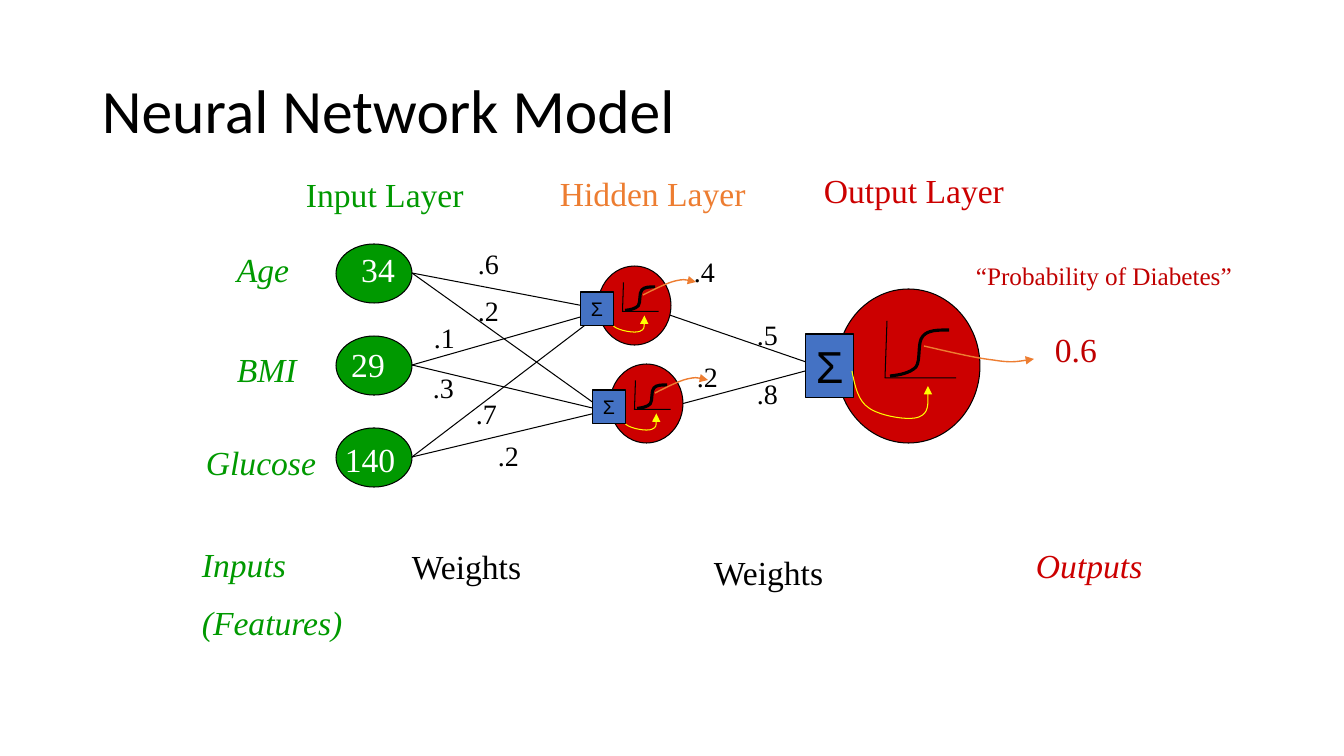
from lxml import etree
from pptx import Presentation
from pptx.dml.color import RGBColor
from pptx.enum.shapes import MSO_CONNECTOR, MSO_SHAPE
from pptx.enum.text import MSO_ANCHOR, MSO_AUTO_SIZE, PP_ALIGN
from pptx.oxml.ns import qn
from pptx.util import Pt

PX = 914400 / 100.8
DISC, RECT = MSO_SHAPE.FLOWCHART_CONNECTOR, MSO_SHAPE.RECTANGLE
LINE = MSO_CONNECTOR.STRAIGHT
LEFT, MID = PP_ALIGN.LEFT, PP_ALIGN.CENTER
TOP, CENTER = MSO_ANCHOR.TOP, MSO_ANCHOR.MIDDLE
GROW, FIXED = MSO_AUTO_SIZE.SHAPE_TO_FIT_TEXT, MSO_AUTO_SIZE.NONE

BLACK = RGBColor(0x00, 0x00, 0x00)
WHITE = RGBColor(0xFF, 0xFF, 0xFF)
GREEN = RGBColor(0x00, 0x99, 0x00)
RED = RGBColor(0xCC, 0x00, 0x00)
DARK = RGBColor(0xC0, 0x00, 0x00)
ORANGE = RGBColor(0xED, 0x7D, 0x31)
YELLOW = RGBColor(0xFF, 0xFF, 0x00)
BLUE = RGBColor(0x44, 0x72, 0xC4)

# Content: font formats
SERIF = {"name": "Times New Roman", "size": Pt(24)}
SLANT = {**SERIF, "italic": True}
SMALL = {**SERIF, "size": Pt(20)}
NOTE = {**SERIF, "size": Pt(18)}
HEAD = {"name": "Calibri", "size": Pt(44)}

# Content: lines of text, left, top, width, format, colour
TITLE = ("Neural Network Model", (92, 41, 1159, 146))
LABELS = [
    (["Input Layer"], 296, 169, 236, SERIF, GREEN),
    (["Hidden Layer"], 550, 168, 244, SERIF, ORANGE),
    (["Output Layer"], 814, 165, 244, SERIF, RED),
    (["Age"], 227, 244, 84, SLANT, GREEN),
    (["BMI"], 227, 344, 101, SLANT, GREEN),
    (["Glucose"], 196, 437, 140, SLANT, GREEN),
    (["Inputs", "(Features)"], 192, 539, 210, SLANT, GREEN),
    (["Weights"], 402, 541, 144, SERIF, BLACK),
    (["Weights"], 704, 547, 144, SERIF, BLACK),
    (["Outputs"], 1026, 540, 176, SLANT, RED),
    (["“Probability of Diabetes”"], 966, 255, 332, NOTE, DARK),
    (["0.6"], 1045, 324, 109, SERIF, DARK),
]
VALUES = [("34", 336, 244), ("29", 326, 339), ("140", 328, 434)]
WEIGHTS = [
    (".6", 468, 242), (".2", 468, 289), (".1", 424, 316), (".3", 423, 366),
    (".7", 466, 392), (".2", 488, 434), (".5", 747, 313), (".8", 747, 372),
    (".4", 684, 250), (".2", 687, 355),
]

# Content: input discs, and edges as input row and far end
INPUT = {"x": 336, "y": 244, "w": 76, "h": 59, "step": 92}
EDGES = [(0, 605, 310), (1, 605, 411), (1, 605, 310),
         (0, 605, 411), (2, 621, 407), (2, 605, 310)]
OUTS = [(655, 310, 809, 363), (655, 411, 809, 370)]

# Content: neuron outlines, measured from the corner of a 143 px wide disc
WIDE = 143
CURVE = [(53, 87), (63, 86), (73, 84), (79, 78), (84, 71),
         (80, 53), (86, 47), (91, 41), (101, 41), (112, 41)]
AXES = [(50, 32), (48, 89), (119, 89)]
FEED = [(15, 82), (18, 97), (21, 112), (32, 119), (43, 127),
        (72, 132), (82, 128), (92, 124), (91, 111), (91, 97)]

# Content: outgoing arrows and sum boxes, measured from each disc's corner
FAR = [(87, 57), (113, 63), (138, 69), (156, 71), (174, 74), (185, 72), (197, 70)]
NEAR = [(45, 29), (57, 23), (69, 17), (77, 15), (86, 13), (91, 14), (98, 16)]
BIG = {"w": 143, "h": 154, "box": (-31, 45, 48, 64), "size": 32, "out": FAR}
LITTLE = {"w": 73, "h": 79, "box": (-17, 26, 33, 34), "size": 14, "out": NEAR}
NEURONS = [(837, 289, BIG), (598, 266, LITTLE), (610, 364, LITTLE)]


def emu(*vals):
    return [round(v * PX) for v in vals]


def write(shape, lines, fmt, color, align=LEFT, wrap=True, anchor=TOP, size=GROW):
    frame = shape.text_frame
    for key, val in {"word_wrap": wrap, "auto_size": size,
                     "vertical_anchor": anchor}.items():
        setattr(frame, key, val)
    for i, line in enumerate(lines):
        para = frame.add_paragraph() if i else frame.paragraphs[0]
        para.alignment = align
        if i:
            para.space_before = Pt(12.5)
        run = para.add_run()
        run.text = line
        for key, val in fmt.items():
            setattr(run.font, key, val)
        run.font.color.rgb = color
    return frame


def label(lines, box, *args, **opts):
    return write(slide.shapes.add_textbox(*emu(*box)), lines, *args, **opts)


def stroke(shape, color=BLACK, width=0.75):
    shape.line.color.rgb = color
    shape.line.width = Pt(width)


def solid(shapes, kind, box, fill):
    shape = shapes.add_shape(kind, *emu(*box))
    shape.shadow.inherit = False
    shape.fill.solid()
    shape.fill.fore_color.rgb = fill
    stroke(shape)
    return shape


def edge(*ends):
    line = slide.shapes.add_connector(LINE, *emu(*ends))
    stroke(line)
    etree.SubElement(line._element.spPr, qn("a:effectLst"))


def bend(shape):
    """Turn each three straight steps into one cubic curve."""
    steps = list(shape._element.iter(qn("a:lnTo")))
    for i in range(0, len(steps), 3):
        cubic = etree.Element(qn("a:cubicBezTo"))
        steps[i].addprevious(cubic)
        for step in steps[i:i + 3]:
            cubic.append(step[0])
            step.getparent().remove(step)


def trace(shapes, x, y, dots, scale=1, color=BLACK, width=0.75, curved=True, arrow=False):
    spots = [emu(x + a * scale, y + b * scale) for a, b in dots]
    pen = shapes.build_freeform(*spots[0])
    pen.add_line_segments(spots[1:], close=False)
    shape = pen.convert_to_shape()
    if curved:
        bend(shape)
    shape.shadow.inherit = False
    shape.fill.background()
    stroke(shape, color, width)
    if arrow:
        etree.SubElement(shape.line._get_or_add_ln(), qn("a:tailEnd"), type="triangle")


def sigma(shapes, x, y, kind):
    left, top, w, h = kind["box"]
    box = solid(shapes, RECT, (x + left, y + top, w, h), BLUE)
    write(box, ["Σ"], {"name": "Arial", "size": Pt(kind["size"])}, BLACK, wrap=False)


def neuron(x, y, kind):
    shapes = slide.shapes.add_group_shape().shapes
    scale = kind["w"] / WIDE
    solid(shapes, DISC, (x, y, kind["w"], kind["h"]), RED)
    trace(shapes, x, y, CURVE, scale, width=2.25)
    trace(shapes, x, y, AXES, scale, curved=False)
    if kind is BIG:
        sigma(shapes, x, y, kind)
    trace(shapes, x, y, FEED, scale, YELLOW, arrow=True)
    trace(shapes, x, y, kind["out"], 1, ORANGE, 1, arrow=True)
    if kind is LITTLE:
        sigma(shapes, x, y, kind)


deck = Presentation()
deck.slide_width, deck.slide_height = emu(1344, 756)
slide = deck.slides.add_slide(deck.slide_layouts[6])

# Input discs and edges
rows = [INPUT["y"] + INPUT["step"] * i for i in range(len(VALUES))]
for y in rows:
    solid(slide.shapes, DISC, (INPUT["x"], y, INPUT["w"], INPUT["h"]), GREEN)
for row, x, y in EDGES:
    edge(INPUT["x"] + INPUT["w"], rows[row] + INPUT["h"] // 2, x, y)
for ends in OUTS:
    edge(*ends)

# Neurons
for x, y, kind in NEURONS:
    neuron(x, y, kind)

# Labels, input values and weights
for lines, x, y, w, fmt, color in LABELS:
    label(lines, (x, y, w, 50 if len(lines) == 1 else 112), fmt, color)
for text, x, y in VALUES:
    label([text], (x, y, 84, 50), SERIF, WHITE, align=MID)
for text, x, y in WEIGHTS:
    label([text], (x, y, 41, 43), SMALL, BLACK, wrap=False)

# Title
name, area = TITLE
frame = label([name], area, HEAD, BLACK, anchor=CENTER, size=FIXED)
frame.paragraphs[0].line_spacing = 0.9

deck.save("out.pptx")
